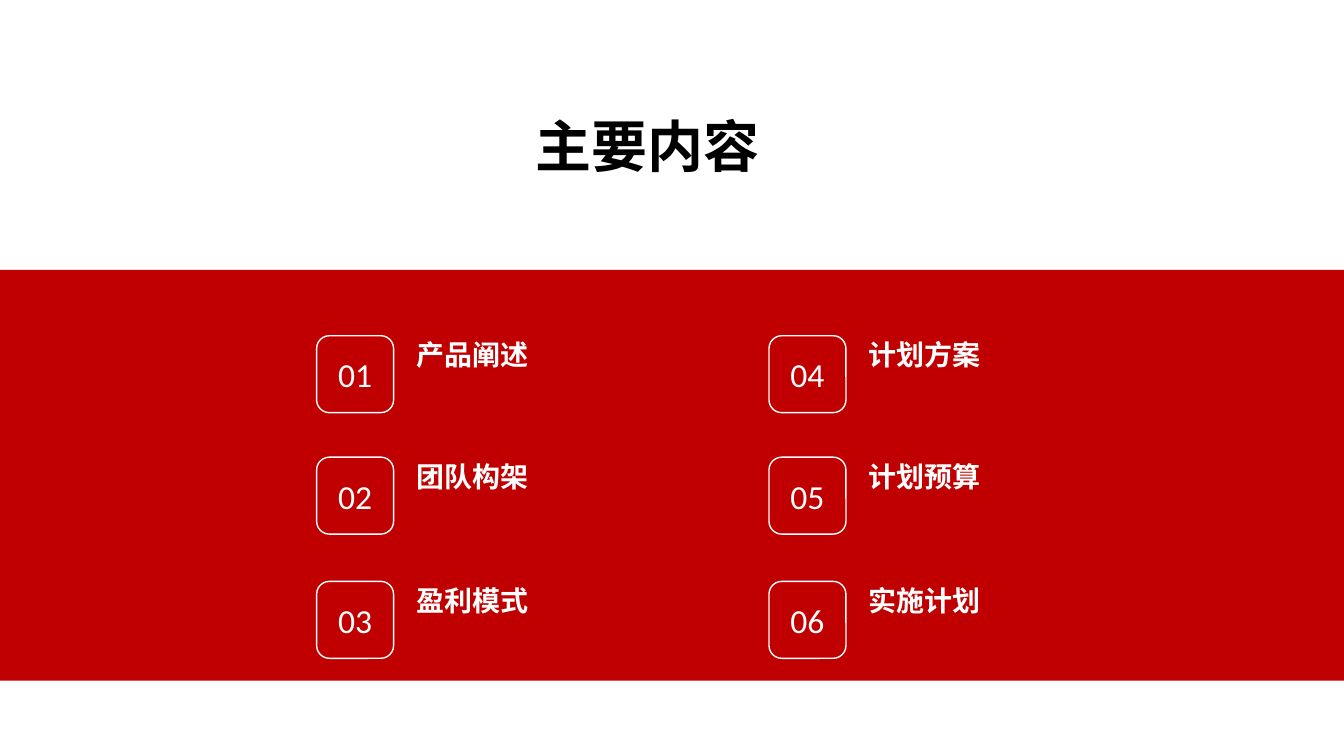
from pptx import Presentation
from pptx.dml.color import RGBColor
from pptx.enum.lang import MSO_LANGUAGE_ID
from pptx.enum.shapes import MSO_SHAPE
from pptx.enum.text import MSO_ANCHOR, MSO_AUTO_SIZE, PP_ALIGN
from pptx.util import Cm, Pt

RED, WHITE, BLACK = "C00000", "FFFFFF", "000000"
WIDE, HIGH = 33.87, 19.05
ITEMS = ["产品阐述", "团队构架", "盈利模式", "计划方案", "计划预算", "实施计划"]
COLS = [7.98, 19.38]
ROWS = [8.46, 11.52, 14.65]
SIDE = 1.94


def color(hue):
    return RGBColor.from_string(hue)


def add_run(para, text, size, hue, bold=False):
    run = para.add_run()
    run.text = text
    font = run.font
    font.name, font.size, font.bold = "Calibri", Pt(size), bold
    font.color.rgb = color(hue)
    font.language_id = MSO_LANGUAGE_ID.SIMPLIFIED_CHINESE


def add_label(slide, left, top, width, height, text, size, hue):
    box = slide.shapes.add_textbox(Cm(left), Cm(top), Cm(width), Cm(height))
    frame = box.text_frame
    frame.word_wrap = False
    frame.auto_size = MSO_AUTO_SIZE.SHAPE_TO_FIT_TEXT
    add_run(frame.paragraphs[0], text, size, hue, bold=True)


def add_band(slide, left, top, width, height):
    band = slide.shapes.add_shape(
        MSO_SHAPE.RECTANGLE, Cm(left), Cm(top), Cm(width), Cm(height))
    band.shadow.inherit = False
    band.fill.solid()
    band.fill.fore_color.rgb = color(RED)
    band.line.fill.background()


def add_item(slide, left, top, side, num, text):
    # Numbered outline
    tile = slide.shapes.add_shape(
        MSO_SHAPE.ROUNDED_RECTANGLE, Cm(left), Cm(top), Cm(side), Cm(side))
    tile.shadow.inherit = False
    tile.fill.background()
    tile.line.color.rgb = color(WHITE)
    tile.line.width = Pt(1)
    frame = tile.text_frame
    frame.vertical_anchor = MSO_ANCHOR.MIDDLE
    para = frame.paragraphs[0]
    para.alignment = PP_ALIGN.CENTER
    add_run(para, f"{num:02}", 24, WHITE)
    # Topic beside it
    add_label(slide, left + side + 0.32, top - 0.07, 3.33, 1.11,
              text, 20, WHITE)


def main():
    deck = Presentation()
    deck.slide_width, deck.slide_height = Cm(WIDE), Cm(HIGH)
    slide = deck.slides.add_slide(deck.slide_layouts[6])

    # Background band and title
    add_band(slide, 0, 6.8, WIDE, 10.35)
    add_label(slide, 13.24, 2.69, 6.15, 1.96, "主要内容", 40, BLACK)

    # Topics, filled column by column
    for pos, text in enumerate(ITEMS):
        col, row = divmod(pos, len(ROWS))
        add_item(slide, COLS[col], ROWS[row], SIDE, pos + 1, text)

    deck.save("out.pptx")


if __name__ == "__main__":
    main()
